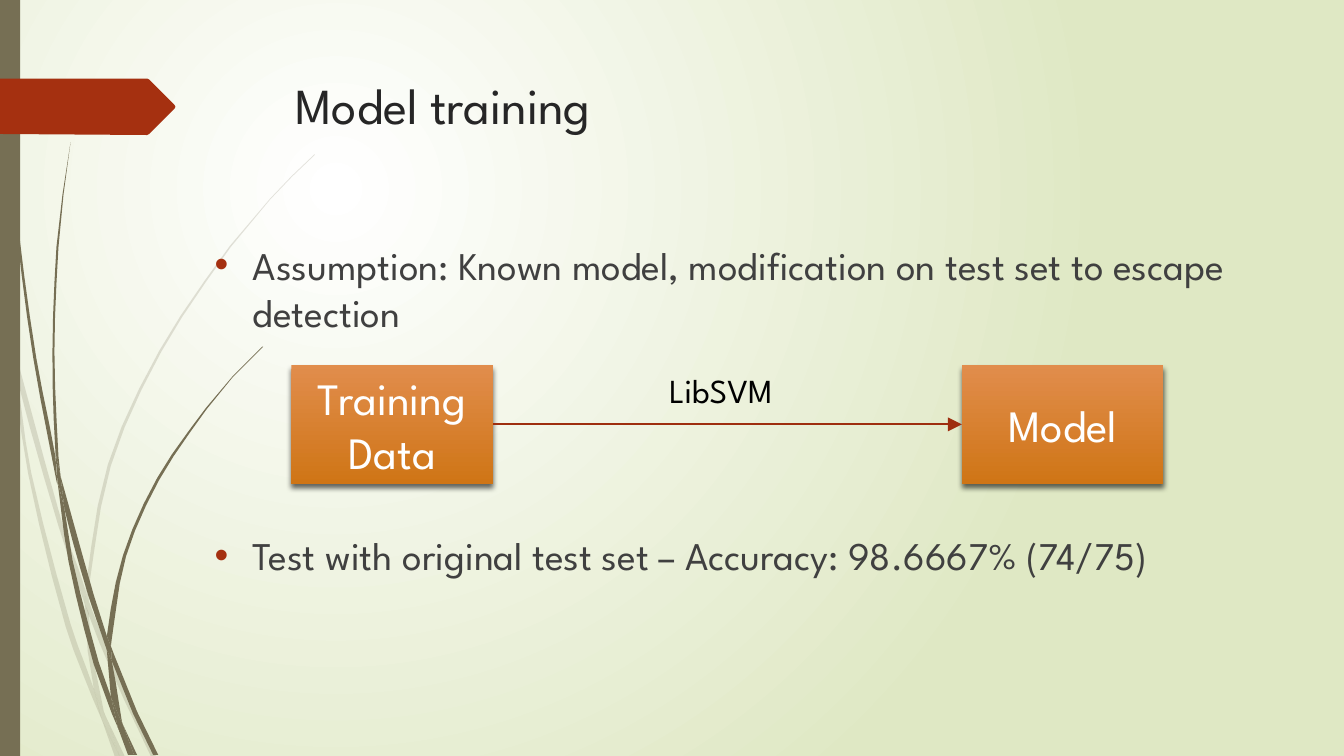
from dataclasses import dataclass

from lxml.etree import SubElement
from pptx import Presentation
from pptx.dml.color import RGBColor
from pptx.enum.shapes import MSO_CONNECTOR as Connector, MSO_SHAPE as Shape
from pptx.enum.text import MSO_ANCHOR as Anchor, PP_ALIGN as Align
from pptx.oxml.ns import qn
from pptx.util import Inches, Pt


@dataclass(frozen=True)
class Theme:
    font: str = "League Spartan"
    paper: tuple = ("FFFFFF", "DFE8C4")
    block: tuple = ("E18D4C", "CF7516")
    stem: str = "766F54"
    accent: str = "A53010"
    arrow: str = "9E2E0F"
    heading: str = "262626"
    body: str = "404040"
    black: str = "000000"
    white: str = "FFFFFF"
    title_size: int = 36
    block_size: int = 32
    body_size: int = 28
    label_size: int = 24


# Blades of grass as (left edge, right edge); each edge lists (x, y) points downwards
PALE_BLADES = [
    ([(0, 2.82), (0, 2.99), (0.1, 3.44), (0.11, 3.5)], [(0, 2.82), (0.09, 3.22), (0.11, 3.5)]),
    ([(0.14, 3.45), (0.17, 3.76), (0.58, 5.22), (0.84, 5.99)],
     [(0.14, 3.45), (0.62, 5.2), (0.85, 5.86), (0.84, 5.99)]),
    ([(0.88, 5.96), (0.88, 6.1), (1.23, 6.94), (1.5, 7.51)],
     [(0.88, 5.96), (0.92, 6.07), (1.27, 6.92), (1.55, 7.51)]),
    ([(1.05, 7.11), (1.19, 7.51)], [(1.05, 7.11), (1.24, 7.51)]),
    ([(0.11, 3.5), (0.28, 4.7), (0.65, 6.21), (0.92, 6.93), (1.01, 7.14)],
     [(0.11, 3.5), (0.17, 3.76), (0.31, 4.69), (0.7, 6.19), (0.93, 6.83), (1.01, 7.14)]),
    ([(0.84, 5.99), (0.87, 6.46), (0.93, 6.83), (0.96, 6.92), (1.05, 7.11)],
     [(0.84, 5.99), (0.88, 6.08), (0.91, 6.46), (1.03, 7.06), (1.05, 7.11)]),
    ([(3.12, 1.53), (2.89, 1.75), (2.68, 1.97), (2.28, 2.44), (1.58, 3.48), (1.07, 4.61),
      (0.85, 5.84), (0.88, 5.96)],
     [(3.12, 1.54), (2.9, 1.75), (2.68, 1.98), (2.29, 2.45), (1.6, 3.49), (1.1, 4.62),
      (0.88, 5.84), (0.88, 5.96)]),
    ([(1.01, 7.14), (1.14, 7.51)], [(1.01, 7.14), (1.19, 7.51)]),
    ([(0.85, 5.86), (0.84, 5.99), (0.88, 6.1)], [(0.85, 5.86), (0.88, 5.96), (0.88, 6.1)]),
    ([(0.93, 6.83), (0.99, 7.07), (1.01, 7.14), (1.19, 7.51)],
     [(0.93, 6.83), (0.96, 6.92), (1.05, 7.11), (1.19, 7.51)]),
]
DARK_BLADES = [
    ([(0.03, 0), (0.04, 0.48), (0.07, 1.1), (0.17, 2.33), (0.33, 3.55), (0.56, 4.77), (0.57, 4.81)],
     [(0.04, 0), (0.05, 0.48), (0.08, 1.09), (0.19, 2.32), (0.36, 3.55), (0.55, 4.53), (0.57, 4.81)]),
    ([(0.6, 4.72), (0.64, 5.05), (0.88, 5.92), (1.06, 6.45)],
     [(0.6, 4.72), (0.93, 5.9), (1.06, 6.31), (1.06, 6.45)]),
    ([(1.1, 6.41), (1.11, 6.56), (1.32, 7.08), (1.52, 7.49)],
     [(1.1, 6.41), (1.13, 6.49), (1.36, 7.06), (1.57, 7.49)]),
    ([(0.57, 4.77), (0.68, 5.57), (0.93, 6.59), (1.11, 7.08), (1.17, 7.22)],
     [(0.57, 4.77), (0.64, 5.05), (0.72, 5.56), (0.98, 6.57), (1.1, 6.91), (1.17, 7.22)]),
    ([(0.7, 1.41), (0.62, 1.93), (0.56, 2.45), (0.52, 3.49), (0.55, 4.49), (0.6, 4.72)],
     [(0.7, 1.41), (0.63, 1.93), (0.58, 2.45), (0.54, 3.49), (0.58, 4.53), (0.6, 4.72)]),
    ([(1.22, 7.19), (1.33, 7.49)], [(1.22, 7.19), (1.36, 7.49)]),
    ([(0.55, 4.49), (0.57, 4.77), (0.64, 5.05)], [(0.55, 4.49), (0.6, 4.72), (0.64, 5.05)]),
    ([(2.6, 3.44), (2.31, 3.73), (2.04, 4.05), (1.56, 4.74), (1.22, 5.51), (1.06, 6.31), (1.1, 6.41)],
     [(2.61, 3.44), (2.31, 3.74), (2.05, 4.06), (1.58, 4.76), (1.25, 5.52), (1.11, 6.33), (1.1, 6.41)]),
    ([(1.17, 7.22), (1.27, 7.49)], [(1.17, 7.22), (1.31, 7.49)]),
    ([(1.06, 6.45), (1.1, 6.91), (1.16, 7.06), (1.22, 7.19)],
     [(1.06, 6.45), (1.11, 6.56), (1.21, 7.16), (1.22, 7.19)]),
    ([(1.06, 6.31), (1.06, 6.45), (1.11, 6.56)], [(1.06, 6.31), (1.1, 6.41), (1.11, 6.56)]),
    ([(1.1, 6.91), (1.17, 7.22), (1.3, 7.49)],
     [(1.1, 6.91), (1.16, 7.06), (1.22, 7.19), (1.33, 7.49)]),
]
TAG = [(0, 0.78), (1.46, 0.78), (1.48, 0.79), (1.73, 1.04), (1.74, 1.06), (1.73, 1.08),
       (1.48, 1.33), (1.46, 1.34), (0, 1.33)]


def smooth_edge(points):
    """Add points of a cubic Hermite curve of x over y inside the long gaps."""
    last = len(points) - 1
    slopes = []
    for i in range(last + 1):
        (x0, y0), (x1, y1) = points[max(i - 1, 0)], points[min(i + 1, last)]
        slopes.append((x1 - x0) / (y1 - y0))
    curve = [points[0]]
    for i in range(last):
        (x0, y0), (x1, y1) = points[i], points[i + 1]
        gap = y1 - y0
        steps = 3 if gap > 0.6 else 1
        for step in range(1, steps + 1):
            t = step / steps
            blend = t * t * (3 - 2 * t)
            bend = gap * t * (1 - t) * (slopes[i] * (1 - t) - slopes[i + 1] * t)
            curve.append((x0 + (x1 - x0) * blend + bend, y0 + gap * t))
    return curve


def add_text(para, text, *, font, size, color, align=Align.LEFT, before=0, bullet=None):
    """Write one formatted paragraph, with a hanging bullet if a colour is given."""
    if bullet:
        props = para._p.get_or_add_pPr()
        props.set("marL", str(Inches(0.38)))
        props.set("indent", str(Inches(-0.38)))
        tint = SubElement(props, qn("a:buClr"))
        SubElement(tint, qn("a:srgbClr"), val=bullet)
        SubElement(props, qn("a:buFont"), typeface="Arial")
        SubElement(props, qn("a:buChar"), char="•")
    para.alignment = align
    if before:
        para.space_before = Pt(before)
    span = para.add_run()
    span.text = text
    span.font.name, span.font.size = font, Pt(size)
    span.font.color.rgb = RGBColor.from_string(color)


class SlideBuilder:
    def __init__(self, slide, theme):
        self.slide, self.theme = slide, theme

    def gradient(self, fill, colors):
        fill.gradient()
        for stop, color in zip(fill.gradient_stops, colors):
            stop.color.rgb = RGBColor.from_string(color)

    def background(self):
        self.gradient(self.slide.background.fill, self.theme.paper)
        gradient = self.slide._element.find(".//" + qn("a:gradFill"))
        gradient.remove(gradient.find(qn("a:lin")))
        glow = SubElement(gradient, qn("a:path"), path="circle")
        SubElement(glow, qn("a:fillToRect"), l="50000", t="50000", r="100000", b="100000")

    def paint(self, shape, color, opacity=100):
        shape.shadow.inherit = False
        shape.line.fill.background()
        shape.fill.solid()
        shape.fill.fore_color.rgb = RGBColor.from_string(color)
        if opacity < 100:
            tint = shape._element.spPr.find(".//" + qn("a:srgbClr"))
            SubElement(tint, qn("a:alpha"), val=str(opacity * 1000))

    def outline(self, points, color, opacity=100):
        corners = [(Inches(x), Inches(y)) for x, y in points]
        builder = self.slide.shapes.build_freeform(*corners[0])
        builder.add_line_segments(corners[1:], close=True)
        self.paint(builder.convert_to_shape(), color, opacity)

    def blades(self, edges, opacity=100):
        for left, right in edges:
            self.outline(smooth_edge(left) + smooth_edge(right)[::-1], self.theme.stem, opacity)

    def bar(self, place, color):
        self.paint(self.slide.shapes.add_shape(Shape.RECTANGLE, *map(Inches, place)), color)

    def text(self, place, paragraphs, **style):
        frame = self.slide.shapes.add_textbox(*map(Inches, place)).text_frame
        frame.word_wrap = True
        for i, (text, before) in enumerate(paragraphs):
            para = frame.add_paragraph() if i else frame.paragraphs[0]
            add_text(para, text, font=self.theme.font, before=before, **style)

    def block(self, place, text):
        box = self.slide.shapes.add_shape(Shape.RECTANGLE, *map(Inches, place))
        box.shadow.inherit = False
        box.line.fill.background()
        self.gradient(box.fill, self.theme.block)
        box.fill.gradient_angle = 270
        effects = box._element.spPr.find(qn("a:effectLst"))
        shadow = SubElement(effects, qn("a:outerShdw"), blurRad=str(Pt(4)), dist=str(Pt(3)),
                            dir="5400000", algn="ctr", rotWithShape="0")
        tint = SubElement(shadow, qn("a:srgbClr"), val=self.theme.black)
        SubElement(tint, qn("a:alpha"), val="60000")
        frame = box.text_frame
        frame.word_wrap, frame.vertical_anchor = True, Anchor.MIDDLE
        add_text(frame.paragraphs[0], text, font=self.theme.font, size=self.theme.block_size,
                 color=self.theme.white, align=Align.CENTER)
        return box

    def arrow(self, source, target):
        link = self.slide.shapes.add_connector(Connector.STRAIGHT, 0, 0, 0, 0)
        link.begin_connect(source, 3)
        link.end_connect(target, 1)
        link.line.color.rgb = RGBColor.from_string(self.theme.arrow)
        link.line.width = Pt(1.5)
        SubElement(link.line._get_or_add_ln(), qn("a:tailEnd"), type="triangle", w="lg", len="lg")
        SubElement(link._element.spPr, qn("a:effectLst"))


def main():
    deck = Presentation()
    deck.slide_width, deck.slide_height = Inches(13.33), Inches(7.5)
    theme = Theme()
    page = SlideBuilder(deck.slides.add_slide(deck.slide_layouts[6]), theme)
    # Backdrop
    page.background()
    page.blades(PALE_BLADES, opacity=20)
    page.blades(DARK_BLADES)
    page.bar((0, 0, 0.2, 7.5), theme.stem)
    page.outline(TAG, theme.accent)
    # Title and bullets, with room for the diagram between them
    page.text((2.83, 0.69, 9.75, 1.4), [("Model training", 0)],
              size=theme.title_size, color=theme.heading)
    page.text((2.03, 2.34, 10.96, 4.13), [
        ("Assumption: Known model, modification on test set to escape detection", 0),
        ("Test with original test set – Accuracy: 98.6667% (74/75)", 140),
    ], size=theme.body_size, color=theme.body, bullet=theme.accent)
    # Training diagram
    training = page.block((2.89, 3.62, 2, 1.18), "Training Data")
    model = page.block((9.54, 3.62, 2, 1.18), "Model")
    page.arrow(training, model)
    page.text((6.54, 3.62, 1.37, 0.5), [("LibSVM", 0)], size=theme.label_size, color=theme.black)
    deck.save("out.pptx")


if __name__ == "__main__":
    main()
